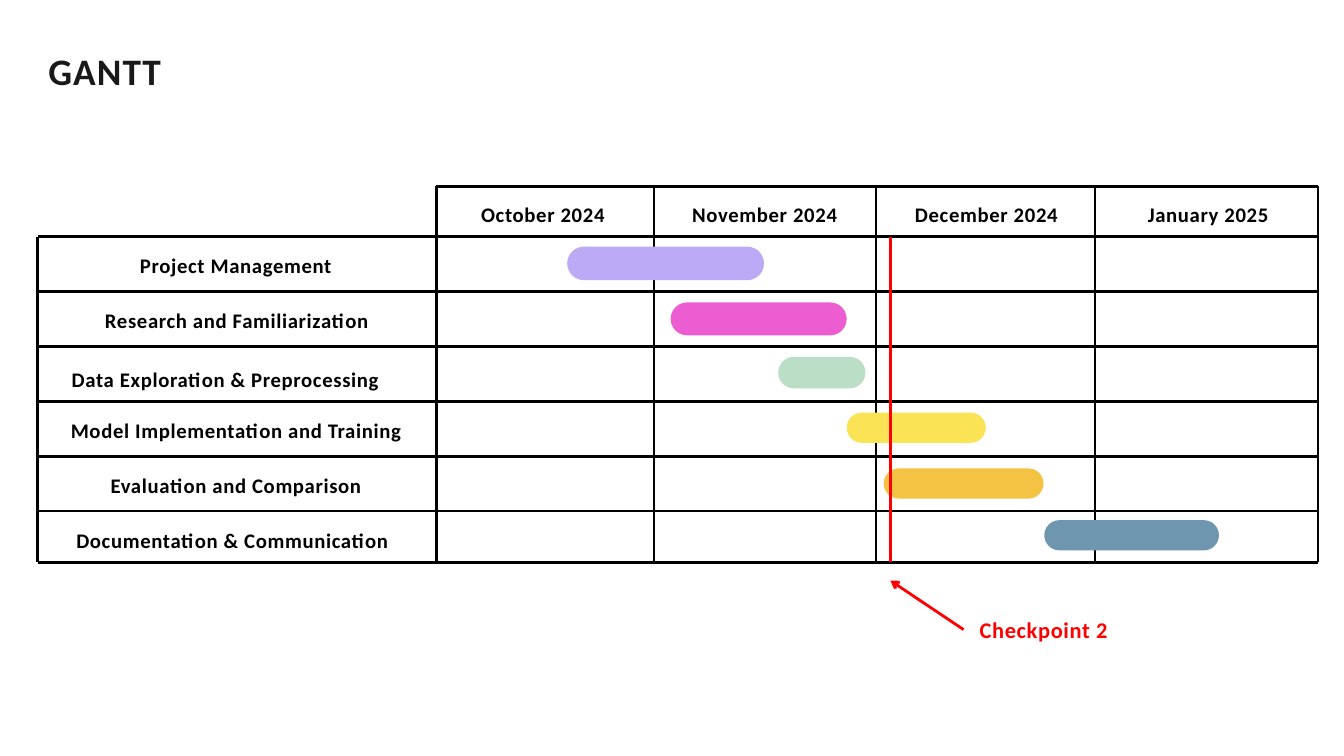
from lxml.etree import SubElement
from pptx import Presentation
from pptx.dml.color import RGBColor
from pptx.enum.shapes import MSO_CONNECTOR, MSO_SHAPE
from pptx.enum.text import MSO_AUTO_SIZE, PP_ALIGN
from pptx.oxml.ns import qn
from pptx.util import Inches, Pt

BLACK = RGBColor(0x00, 0x00, 0x00)
CHARCOAL = RGBColor(0x19, 0x19, 0x19)
RED = RGBColor(0xFF, 0x00, 0x00)
LILAC = RGBColor(0xBD, 0xAA, 0xF6)
PINK = RGBColor(0xEC, 0x5D, 0xD2)
MINT = RGBColor(0xBA, 0xDE, 0xC6)
YELLOW = RGBColor(0xFA, 0xE3, 0x55)
ORANGE = RGBColor(0xF4, 0xC3, 0x43)
BLUE = RGBColor(0x6E, 0x96, 0xAE)

LEFT, CHART_LEFT, RIGHT = 0.56, 6.49, 19.61
HEADER_TOP, BODY_TOP, BOTTOM = 2.77, 3.52, 8.37
ROW_HEIGHT = 0.817
MONTH_WIDTH = 3.3
MONTH_LINES = (9.73, 13.04, 16.29)
CHECKPOINT_X = 13.25

MONTHS = ("October 2024", "November 2024", "December 2024", "January 2025")

# name, label (left, top, width), bar (left, top, width, height), colour
TASKS = (
    ("Project Management", (1.75, 3.67, 3.52), (8.44, 3.67, 2.93, 0.5), LILAC),
    ("Research and Familiarization", (0.94, 4.49, 5.17), (9.98, 4.5, 2.62, 0.49), PINK),
    ("Data Exploration & Preprocessing", (0.35, 5.36, 6.01), (11.58, 5.31, 1.3, 0.47), MINT),
    ("Model Implementation and Training", (0.67, 6.13, 5.69), (12.6, 6.14, 2.07, 0.45), YELLOW),
    ("Evaluation and Comparison", (0.51, 6.95, 6.01), (13.15, 6.97, 2.38, 0.45), ORANGE),
    ("Documentation & Communication", (0.57, 7.76, 5.78), (15.54, 7.74, 2.6, 0.45), BLUE),
)


def add_text(slide, text, left, top, width, height=0.43, size=22.2, leading=33.3,
             color=BLACK, align=PP_ALIGN.CENTER, spacing=70):
    box = slide.shapes.add_textbox(Inches(left), Inches(top), Inches(width), Inches(height))
    frame = box.text_frame
    frame.margin_left = frame.margin_right = frame.margin_top = frame.margin_bottom = 0
    frame.word_wrap = True
    frame.auto_size = MSO_AUTO_SIZE.SHAPE_TO_FIT_TEXT
    paragraph = frame.paragraphs[0]
    paragraph.alignment = align
    paragraph.line_spacing = Pt(leading)
    font = paragraph.font
    font.name, font.size, font.bold = "Calibri", Pt(size), True
    font.color.rgb = color
    run = paragraph.add_run()
    run.text = text
    run._r.get_or_add_rPr().set("spc", str(spacing))


def add_line(slide, x1, y1, x2, y2, width=3, color=BLACK):
    line = slide.shapes.add_connector(
        MSO_CONNECTOR.STRAIGHT, Inches(x1), Inches(y1), Inches(x2), Inches(y2))
    line.line.color.rgb = color
    line.line.width = Pt(width)
    SubElement(line._element.spPr, qn("a:effectLst"))
    return line


def add_arrow(slide, x1, y1, x2, y2, color):
    arrow = add_line(slide, x1, y1, x2, y2, color=color)
    SubElement(arrow.line._get_or_add_ln(), qn("a:tailEnd"), type="arrow")


def add_bar(slide, left, top, width, height, color):
    bar = slide.shapes.add_shape(
        MSO_SHAPE.ROUNDED_RECTANGLE, Inches(left), Inches(top), Inches(width), Inches(height))
    bar.adjustments[0] = 0.5
    bar.shadow.inherit = False
    bar.fill.solid()
    bar.fill.fore_color.rgb = color
    bar.line.fill.background()


def add_grid(slide):
    add_line(slide, CHART_LEFT, HEADER_TOP, RIGHT, HEADER_TOP)
    row_lines = [BODY_TOP + ROW_HEIGHT * row for row in range(len(TASKS))]
    for y in row_lines + [BOTTOM]:
        add_line(slide, LEFT, y, RIGHT, y)
    add_line(slide, LEFT, BODY_TOP, LEFT, BOTTOM)
    add_line(slide, CHART_LEFT, HEADER_TOP, CHART_LEFT, BOTTOM)
    for x in MONTH_LINES + (RIGHT,):
        add_line(slide, x, HEADER_TOP, x, BOTTOM, width=2.25)


def add_checkpoint(slide):
    add_line(slide, CHECKPOINT_X, BOTTOM, CHECKPOINT_X, BODY_TOP, color=RED)
    add_text(slide, "Checkpoint 2", 13.34, 9.07, 4.38, 0.48, size=24, leading=36, color=RED)
    add_arrow(slide, 14.34, 9.37, CHECKPOINT_X, 8.64, RED)


def main():
    presentation = Presentation()
    presentation.slide_width = Inches(20)
    presentation.slide_height = Inches(11.25)
    slide = presentation.slides.add_slide(presentation.slide_layouts[6])

    add_text(slide, "GANTT", 0.72, 0.66, 9.28, 0.71, size=40, leading=52.4,
             color=CHARCOAL, align=PP_ALIGN.LEFT, spacing=120)
    add_grid(slide)
    for column, month in enumerate(MONTHS):
        add_text(slide, month, 6.43 + MONTH_WIDTH * column, 2.91, MONTH_WIDTH)
    for name, label, bar, color in TASKS:
        add_text(slide, name, *label)
        add_bar(slide, *bar, color)
    add_checkpoint(slide)

    presentation.save("out.pptx")


if __name__ == "__main__":
    main()
